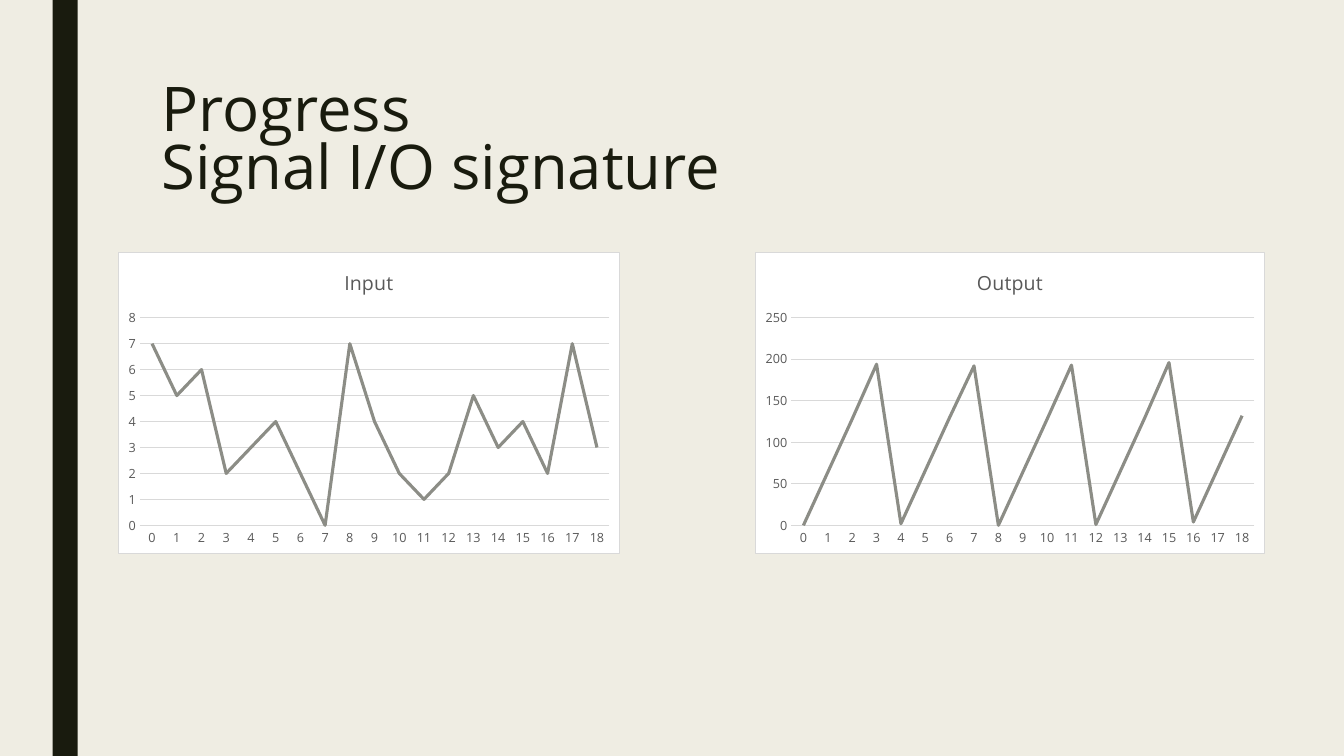
from lxml import etree
from pptx import Presentation
from pptx.chart.data import CategoryChartData
from pptx.dml.color import RGBColor
from pptx.enum.chart import XL_CHART_TYPE, XL_TICK_MARK
from pptx.enum.shapes import MSO_SHAPE
from pptx.enum.text import MSO_ANCHOR, PP_ALIGN
from pptx.oxml import parse_xml
from pptx.oxml.ns import nsdecls
from pptx.util import Pt

LINE_CHART = XL_CHART_TYPE.LINE
NO_TICK = XL_TICK_MARK.NONE
RECTANGLE = MSO_SHAPE.RECTANGLE
TOP = MSO_ANCHOR.TOP
LEFT = PP_ALIGN.LEFT

FONT = "Open Sans"
CREAM = RGBColor(0xEF, 0xED, 0xE3)
DARK = RGBColor(0x19, 0x1B, 0x0E)
BLACK = RGBColor(0, 0, 0)
WHITE = RGBColor(0xFF, 0xFF, 0xFF)
TEXT_GRAY = RGBColor(0x59, 0x59, 0x59)
RULE_GRAY = RGBColor(0xD9, 0xD9, 0xD9)
SERIES_GRAY = RGBColor(0x8C, 0x8D, 0x86)

INPUT_SIGNAL = [7, 5, 6, 2, 3, 4, 2, 0, 7, 4, 2, 1, 2, 5, 3, 4, 2, 7, 3]
OUTPUT_SIGNAL = [0, 64, 128, 194, 2, 66, 130, 192, 0, 64, 128, 193, 1, 65, 129, 196, 4, 68, 132]


def set_font(font, size, color):
    """Apply the slide typeface with a size and colour."""
    font.name = FONT
    font.size = Pt(size)
    font.bold = False
    font.color.rgb = color


def set_line(line, color, width):
    """Give a line a colour and a width."""
    line.color.rgb = color
    line.width = Pt(width)


def add_side_bar(slide, left, top, width, height):
    """Draw the dark vertical band."""
    bar = slide.shapes.add_shape(RECTANGLE, Pt(left), Pt(top), Pt(width), Pt(height))
    bar.shadow.inherit = False
    bar.fill.solid()
    bar.fill.fore_color.rgb = DARK
    bar.line.fill.background()


def place_title(slide, text, left, top, width, height):
    """Move and format the title placeholder."""
    title = slide.shapes.title
    title.left, title.top, title.width, title.height = map(Pt, (left, top, width, height))
    frame = title.text_frame
    frame.word_wrap = True
    frame.vertical_anchor = TOP
    frame.margin_top = Pt(6.4)
    paragraph = frame.paragraphs[0]
    paragraph.text = text
    paragraph.alignment = LEFT
    paragraph.line_spacing = 0.79
    set_font(paragraph.font, 44, DARK)


def frame_chart(chart):
    """Fill the chart area white and outline it in light gray."""
    area = parse_xml(
        f'<c:spPr {nsdecls("c", "a")}>'
        f'<a:solidFill><a:srgbClr val="{WHITE}"/></a:solidFill>'
        f'<a:ln w="{Pt(0.75)}"><a:solidFill><a:srgbClr val="{RULE_GRAY}"/></a:solidFill></a:ln>'
        '</c:spPr>'
    )
    chart.element.chart.addnext(area)


def add_signal_chart(slide, name, values, left, top, width, height):
    """Plot one signal against its sample number."""
    data = CategoryChartData()
    data.categories = [str(sample) for sample in range(len(values))]
    data.add_series(name, values)
    chart = slide.shapes.add_chart(
        LINE_CHART, Pt(left), Pt(top), Pt(width), Pt(height), data
    ).chart
    set_font(chart.font, 10, BLACK)
    frame_chart(chart)

    chart.has_legend = False
    chart.has_title = True
    title = chart.chart_title
    title.include_in_layout = False
    title.text_frame.text = name
    set_font(title.text_frame.paragraphs[0].font, 14, TEXT_GRAY)

    for axis in (chart.category_axis, chart.value_axis):
        axis.major_tick_mark = NO_TICK
        axis.minor_tick_mark = NO_TICK
        set_font(axis.tick_labels.font, 9, TEXT_GRAY)
    set_line(chart.category_axis.format.line, RULE_GRAY, 0.75)
    chart.value_axis.format.line.fill.background()
    chart.value_axis.has_major_gridlines = True
    set_line(chart.value_axis.major_gridlines.format.line, RULE_GRAY, 0.75)

    plot = chart.plots[0]
    plot.vary_by_categories = False
    series = plot.series[0]
    series.smooth = False
    set_line(series.format.line, SERIES_GRAY, 2.25)


def build_signature_slide(presentation):
    """Compose the title and the two signal charts."""
    slide = presentation.slides.add_slide(presentation.slide_layouts[5])
    slide.background.fill.solid()
    slide.background.fill.fore_color.rgb = CREAM
    add_side_bar(slide, 37.5, 0, 18, 540)
    place_title(slide, "Progress\vSignal I/O signature", 108, 54, 756, 116.6)
    add_signal_chart(slide, "Input", INPUT_SIGNAL, 84.3, 180, 358.5, 215.5)
    add_signal_chart(slide, "Output", OUTPUT_SIGNAL, 539.3, 180, 364.3, 215.5)


presentation = Presentation()
presentation.slide_width = Pt(960)
presentation.slide_height = Pt(540)
build_signature_slide(presentation)
presentation.save("out.pptx")
